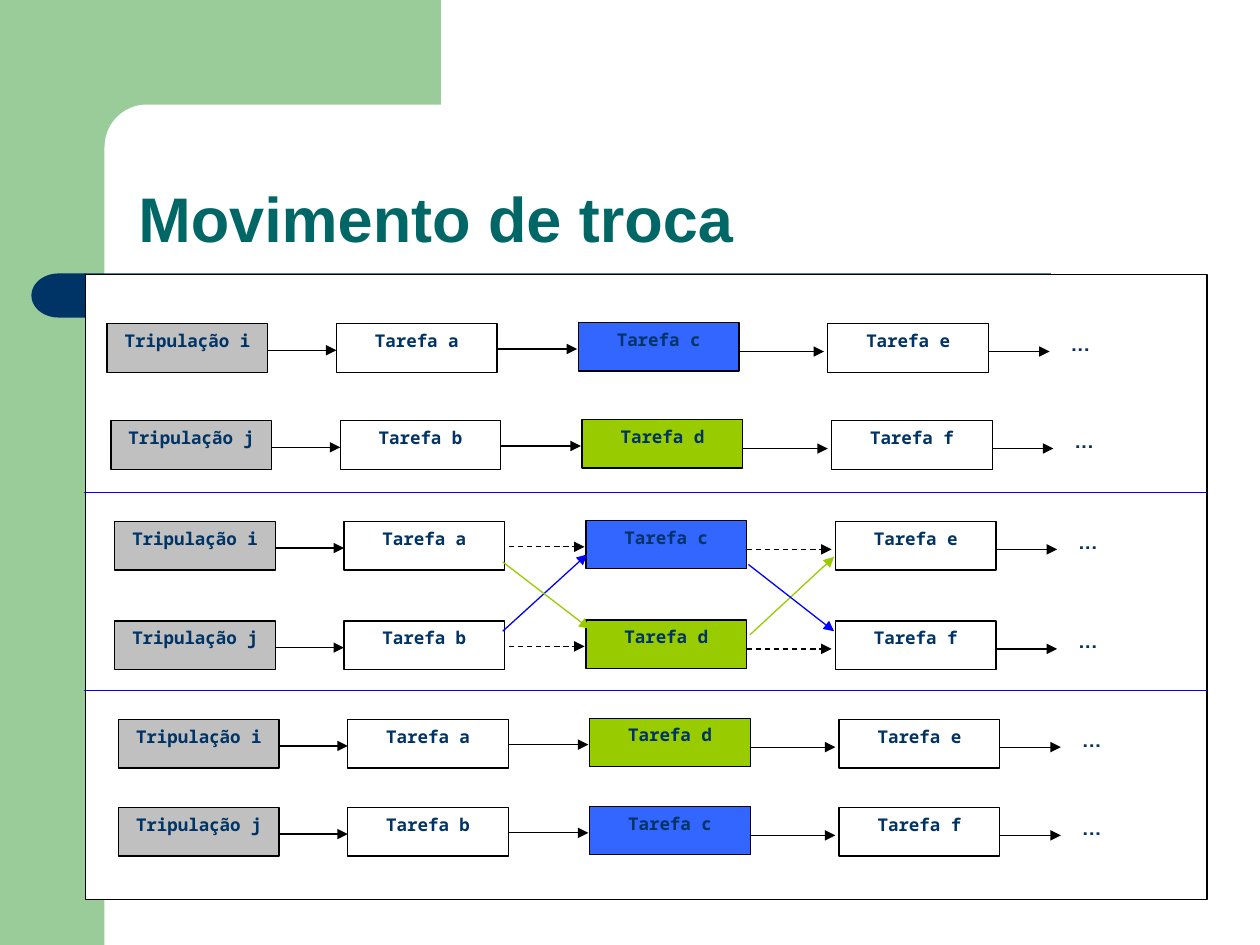
"""Builds the slide on the swap move between two crew schedules."""
import lxml.etree
import pptx
import pptx.dml.color
import pptx.enum.dml
import pptx.enum.shapes
import pptx.enum.text
import pptx.oxml.ns
import pptx.util

ink = pptx.dml.color.RGBColor.from_string
qn = pptx.oxml.ns.qn
preset = pptx.enum.shapes.MSO_SHAPE
align = pptx.enum.text.PP_ALIGN
anchor = pptx.enum.text.MSO_ANCHOR

deck = pptx.Presentation()
deck.slide_width = pptx.util.Inches(10)
deck.slide_height = pptx.util.Inches(7.5)
slide = deck.slides.add_slide(deck.slide_layouts[6])
cell = deck.slide_width / 100


def block(kind, place, fill, outline=None):
    shape = slide.shapes.add_shape(kind, *[round(n * cell) for n in place])
    shape.shadow.inherit = False
    shape.fill.solid()
    shape.fill.fore_color.rgb = ink(fill)
    if outline:
        shape.line.color.rgb = ink(outline)
        shape.line.width = pptx.util.Pt(0.75)
    else:
        shape.line.fill.background()
    return shape


def stroke(ends, color, dashed=False, arrow=True):
    line = slide.shapes.add_connector(
        pptx.enum.shapes.MSO_CONNECTOR.STRAIGHT, *[round(n * cell) for n in ends])
    line.line.color.rgb = ink(color)
    line.line.width = pptx.util.Pt(0.75)
    if dashed:
        line.line.dash_style = pptx.enum.dml.MSO_LINE.DASH
    if arrow:
        lxml.etree.SubElement(line.line._get_or_add_ln(), qn("a:tailEnd"), type="triangle")
    lxml.etree.SubElement(line._element.spPr, qn("a:effectLst"))


GREEN, NAVY, WHITE, BLACK = "99CC99", "003366", "FFFFFF", "000000"
BLUE, LIME, ROYAL, GRAY = "3366FF", "99CC00", "0000FF", "C0C0C0"

block(preset.RECTANGLE, (0, 0, 8.3, 75), GREEN)
block(preset.RECTANGLE, (7.5, 0, 27.5, 11.7), GREEN)
block(preset.ROUNDED_RECTANGLE, (8.3, 8.3, 55.8, 6.7), WHITE).adjustments[0] = 0.5
block(preset.RECTANGLE, (6.7, 21.7, 76.7, 3.5), NAVY)
bar_end = block(preset.FLOWCHART_DELAY, (2.5, 21.7, 4.3, 3.5), NAVY)
bar_end._element.spPr.get_or_add_xfrm().set("flipH", "1")

title = slide.shapes.add_textbox(*[round(n * cell) for n in (10, 8.3, 87.5, 12.5)])
block(preset.RECTANGLE, (6.8, 21.8, 89, 49.6), WHITE, BLACK)

title_look = {"size": pptx.util.Pt(36), "name": "Arial", "bold": True}
task_look = {"size": pptx.util.Pt(10), "name": "Noto Sans Mono", "bold": True}
dots_look = {"size": pptx.util.Pt(18), "name": "Cabin", "bold": False}
captions = [(title, "Movimento de troca", title_look, "006666", align.LEFT, anchor.BOTTOM)]

schedules = [
    (8.5, 25.7, "i", "ace", False),
    (8.8, 33.4, "j", "bdf", False),
    (9.1, 41.4, "i", "ace", True),
    (9.1, 49.3, "j", "bdf", True),
    (9.4, 57.1, "i", "ade", False),
    (9.4, 64.1, "j", "bcf", False),
]
steps = [(12.7, 18.2, 2.1), (30.6, 37.3, 2), (50.2, 56.9, 2.2), (69.9, 74.8, 2.2)]
columns = [(0, 0), (18.2, 0), (37.4, -0.1), (57.2, 0)]
task_fills = {"c": BLUE, "d": LIME}

for left, top, crew, tasks, swapping in schedules:
    for number, (start, end, drop) in enumerate(steps):
        stroke((left + start, top + drop, left + end, top + drop), BLACK,
               dashed=swapping and number in (1, 2))
    labels = [f"Tripulação {crew}"] + [f"Tarefa {task}" for task in tasks]
    fills = [GRAY] + [task_fills.get(task, WHITE) for task in tasks]
    for (across, down), label, fill in zip(columns, labels, fills):
        box = block(preset.RECTANGLE, (left + across, top + down, 12.75, 3.85), fill, BLACK)
        captions.append((box, label, task_look, NAVY, align.CENTER, anchor.TOP))
    dots = block(preset.RECTANGLE, (left + 75.5, top - 0.8, 8.5, 5), WHITE, WHITE)
    captions.append((dots, "...", dots_look, NAVY, align.LEFT, anchor.TOP))

for ends, color in [
    ((39.9, 50.1, 46.6, 44), ROYAL),
    ((59.5, 50.4, 66.2, 44.2), LIME),
    ((59.4, 44.8, 66.2, 50.1), ROYAL),
    ((39.9, 44.6, 46.8, 49.9), LIME),
]:
    stroke(ends, color)

for level in (39.1, 54.8):
    stroke((6.7, level, 95.7, level), ROYAL, arrow=False)

for holder, words, look, color, side, hold in captions:
    frame = holder.text_frame
    frame.word_wrap = True
    frame.vertical_anchor = hold
    paragraph = frame.paragraphs[0]
    paragraph.alignment = side
    paragraph.line_spacing = 0.9 if holder is title else 1.0
    run = paragraph.add_run()
    run.text = words
    run.font.color.rgb = ink(color)
    for trait, value in look.items():
        setattr(run.font, trait, value)

deck.save("out.pptx")
